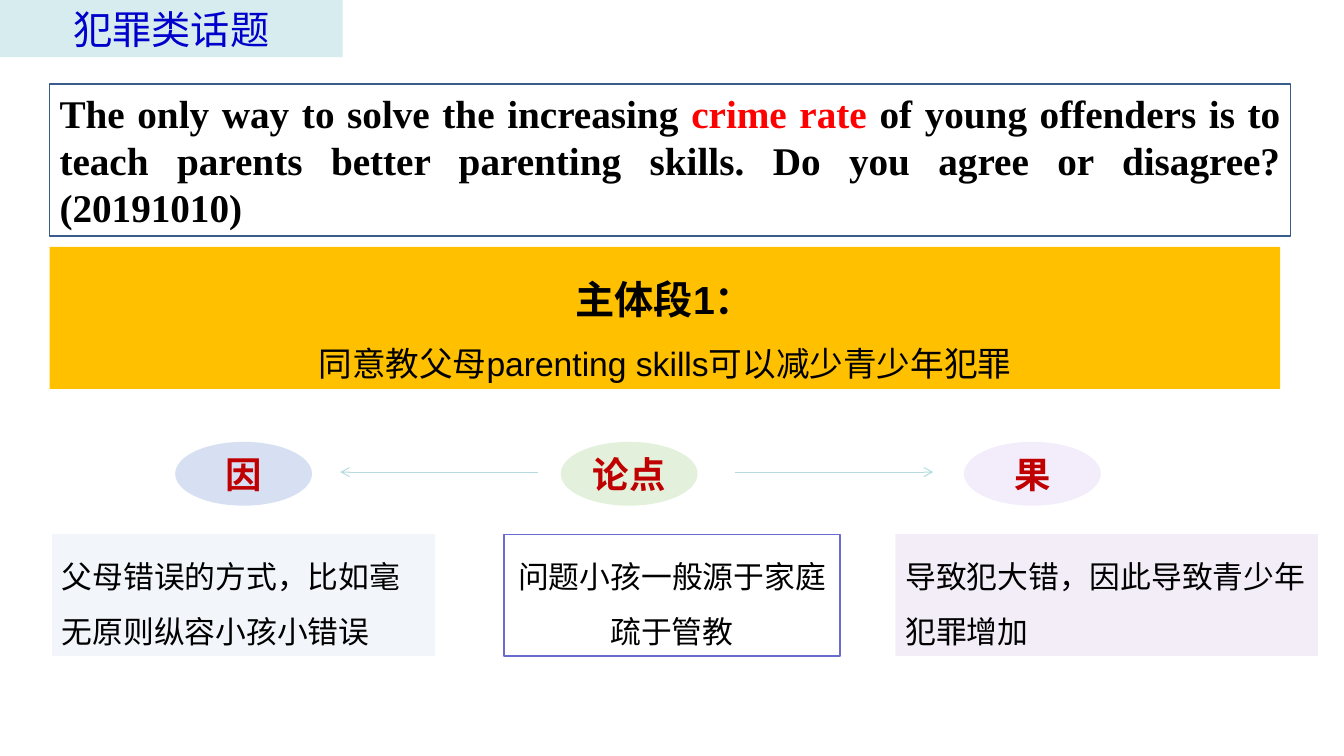
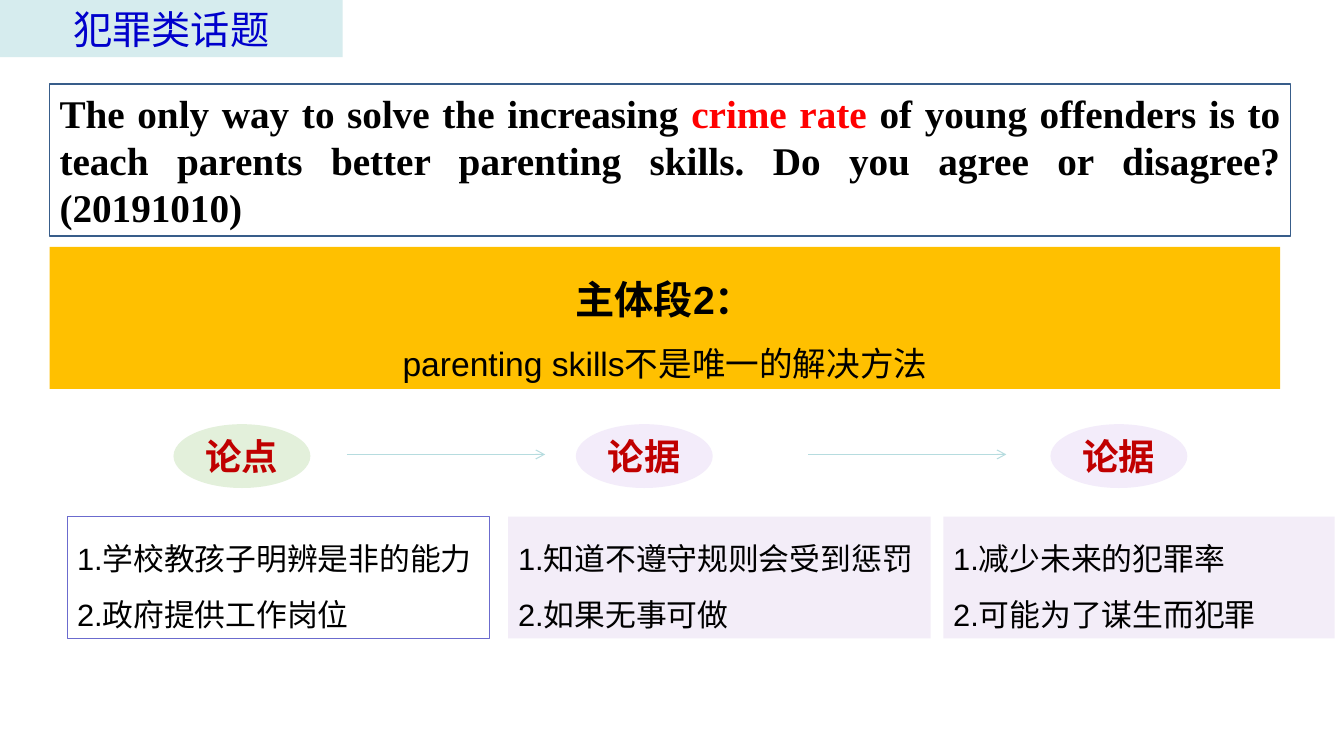
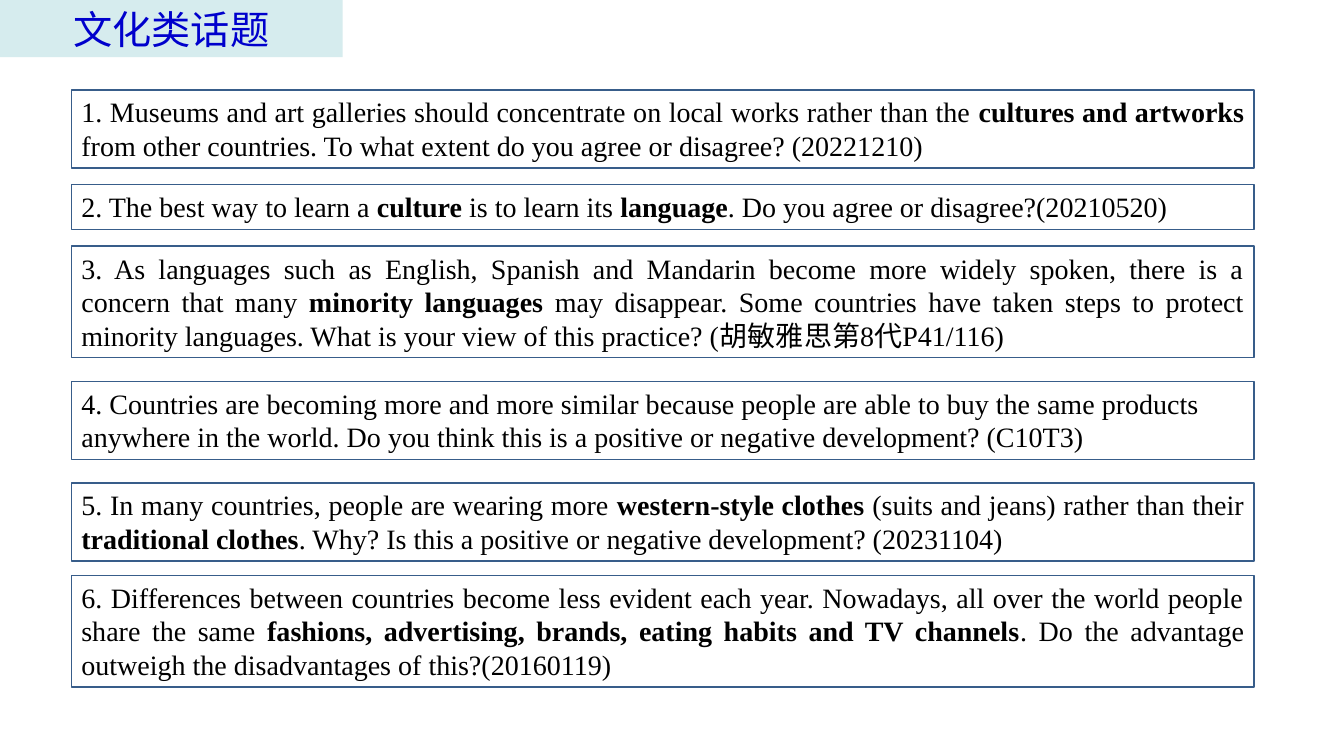
import dataclasses

import lxml.etree
import pptx
import pptx.dml.color
import pptx.enum.shapes
import pptx.enum.text
import pptx.oxml.ns
import pptx.util

ALIGN = pptx.enum.text.PP_ALIGN
ANCHOR = pptx.enum.text.MSO_ANCHOR
SHAPE = pptx.enum.shapes.MSO_SHAPE
qn = pptx.oxml.ns.qn


@dataclasses.dataclass(frozen=True)
class Theme:
    # Fonts
    sans: str = "Arial"
    serif: str = "Times New Roman"
    cjk: str = "Noto Sans CJK SC"
    # Type sizes
    head: int = 28
    label: int = 26
    claim: int = 24
    note: int = 22
    topic: int = 20
    # Colours
    ink: str = "000000"
    red: str = "FF0000"
    label_ink: str = "C00000"
    title_ink: str = "0000CC"
    title_fill: str = "D6ECEE"
    band: str = "FFC000"
    frame: str = "385D8A"
    point_frame: str = "6B6BCE"
    arrow: str = "B6DCDF"
    # Fill and opacity (percent) of each role's label and note
    labels = {"point": ("C5E0B4", 48), "cause": ("B4C7E7", 54), "effect": ("D3BAEE", 27)}
    notes = {"point": (None, 100), "cause": ("DAE3F3", 35), "effect": ("D3BAE4", 25)}


def rgb(value):
    return pptx.dml.color.RGBColor.from_string(value)


def write(tf, lines, size, font, color=Theme.ink, bold=False, align=ALIGN.LEFT,
          anchor=ANCHOR.TOP, spacing=1.0, accent=None, sizes=None, bolds=None):
    """Fill a text frame; *starred* words are bold and take the accent colour."""
    tf.word_wrap = True
    tf.auto_size = pptx.enum.text.MSO_AUTO_SIZE.NONE
    tf.vertical_anchor = anchor
    for i, line in enumerate(lines):
        p = tf.paragraphs[0] if i == 0 else tf.add_paragraph()
        p.alignment = align
        p.line_spacing = spacing
        for j, part in enumerate(line.split("*")):
            if not part:
                continue
            starred = j % 2 == 1
            r = p.add_run()
            r.text = part
            r.font.size = pptx.util.Pt(sizes[i] if sizes else size)
            r.font.bold = starred or (bolds[i] if bolds else bold)
            r.font.color.rgb = rgb(accent if starred and accent else color)
            r.font.name = font
            ea = lxml.etree.SubElement(r.font._element, qn("a:ea"))
            ea.set("typeface", Theme.cjk)


class Deck:
    """Slides laid out on a grid of 16 columns by 9 rows."""

    def __init__(self, theme):
        self.t = theme
        self.prs = pptx.Presentation()
        self.prs.slide_width = pptx.util.Inches(13.33)
        self.prs.slide_height = pptx.util.Inches(7.5)
        self.s = None

    def cols(self, n):
        return round(self.prs.slide_width * n / 16)

    def rows(self, n):
        return round(self.prs.slide_height * n / 9)

    def place(self, x, y, w, h):
        return self.cols(x), self.rows(y), self.cols(w), self.rows(h)

    def slide(self, title):
        """Start a slide with its title tab."""
        self.s = self.prs.slides.add_slide(self.prs.slide_layouts[5])
        sp = self.s.shapes.title
        sp.left, sp.top, sp.width, sp.height = self.place(0, 0, 4.08, 0.68)
        sp.fill.solid()
        sp.fill.fore_color.rgb = rgb(self.t.title_fill)
        write(sp.text_frame, [title], self.t.head, self.t.cjk,
              color=self.t.title_ink, align=ALIGN.CENTER)

    def shape(self, x, y, w, h, kind=SHAPE.RECTANGLE, fill=None, opacity=100,
              line=None, weight=1):
        sp = self.s.shapes.add_shape(kind, *self.place(x, y, w, h))
        sp.shadow.inherit = False
        if fill:
            sp.fill.solid()
            sp.fill.fore_color.rgb = rgb(fill)
            if opacity < 100:
                clr = sp.element.spPr.find(qn("a:solidFill")).find(qn("a:srgbClr"))
                lxml.etree.SubElement(clr, qn("a:alpha")).set("val", str(opacity * 1000))
        else:
            sp.fill.background()
        if line:
            sp.line.color.rgb = rgb(line)
            sp.line.width = pptx.util.Pt(weight)
        else:
            sp.line.fill.background()
        return sp

    def framed(self, x, y, w, h, lines, size, **fmt):
        """Outlined exam question."""
        sp = self.shape(x, y, w, h, line=self.t.frame)
        write(sp.text_frame, lines, size, self.t.serif, align=ALIGN.JUSTIFY, **fmt)

    def band(self, heading, claim):
        """Yellow band naming the body paragraph and its claim."""
        sp = self.shape(0.59, 2.94, 14.65, 1.69, fill=self.t.band)
        write(sp.text_frame, [heading, claim], self.t.head, self.t.sans,
              align=ALIGN.CENTER, spacing=1.5,
              sizes=(self.t.head, self.t.claim), bolds=(True, False))

    def label(self, center, y, role, text):
        w, h = 1.63, 0.76
        fill, opacity = self.t.labels[role]
        sp = self.shape(center - w / 2, y, w, h, SHAPE.OVAL, fill, opacity)
        write(sp.text_frame, [text], self.t.label, self.t.cjk, color=self.t.label_ink,
              bold=True, align=ALIGN.CENTER, anchor=ANCHOR.MIDDLE)

    def note(self, x, y, w, role, lines, align):
        fill, opacity = self.t.notes[role]
        line = self.t.point_frame if role == "point" else None
        sp = self.shape(x, y, w, 1.45, fill=fill, opacity=opacity, line=line, weight=0.75)
        write(sp.text_frame, lines, self.t.note, self.t.sans, align=align, spacing=1.5)

    def arrow(self, x1, x2, y):
        c = self.s.shapes.add_connector(
            pptx.enum.shapes.MSO_CONNECTOR.STRAIGHT,
            self.cols(x1), self.rows(y), self.cols(x2), self.rows(y))
        c.line.color.rgb = rgb(self.t.arrow)
        c.line.width = pptx.util.Pt(0.75)
        ln = c.element.spPr.find(qn("a:ln"))
        lxml.etree.SubElement(ln, qn("a:tailEnd")).set("type", "arrow")
        lxml.etree.SubElement(c.element.spPr, qn("a:effectLst"))

    def argument(self, heading, claim, top, steps, arrows):
        """Crime question, claim band, then labels with notes joined by arrows."""
        self.slide("犯罪类话题")
        self.framed(0.59, 1, 14.77, 1.81, [CRIME], self.t.head, bold=True, accent=self.t.red)
        self.band(heading, claim)
        for center, role, name, x, w, lines, align in steps:
            self.label(center, top, role, name)
            self.note(x, top + 1.1, w, role, lines, align)
        for start, end in arrows:
            self.arrow(start, end, top + 0.36)

    def topics(self, title, items):
        """Stack of questions; each gives its line count and the gap above it."""
        self.slide(title)
        y = 1.07
        for count, gap, lines in items:
            y += gap
            h = 0.13 + 0.4 * count
            self.framed(0.85, y, 14.08, h, lines, self.t.topic)
            y += h


CRIME = ("The only way to solve the increasing *crime rate* of young offenders is to teach "
         "parents better parenting skills. Do you agree or disagree? (20191010)")

# Label centre, role, label, note left, note width, note lines, note alignment
CAUSE_AND_EFFECT = [
    (2.9, "cause", "因", 0.62, 4.56, ["父母错误的方式，比如毫无原则纵容小孩小错误"], ALIGN.LEFT),
    (7.49, "point", "论点", 6, 4, ["问题小孩一般源于家庭疏于管教"], ALIGN.CENTER),
    (12.29, "effect", "果", 10.66, 5.03, ["导致犯大错，因此导致青少年犯罪增加"], ALIGN.LEFT),
]
OTHER_SOLUTIONS = [
    (2.88, "point", "论点", 0.8, 5.03,
     ["1.学校教孩子明辨是非的能力", "2.政府提供工作岗位"], ALIGN.LEFT),
    (7.67, "effect", "论据", 6.05, 5.03,
     ["1.知道不遵守规则会受到惩罚", "2.如果无事可做"], ALIGN.LEFT),
    (13.32, "effect", "论据", 11.23, 4.66,
     ["1.减少未来的犯罪率", "2.可能为了谋生而犯罪"], ALIGN.LEFT),
]

# Line count, gap above, paragraphs
CULTURE = [
    (2, 0, ["1. Museums and art galleries should concentrate on local works rather than the "
            "*cultures and artworks* from other countries. To what extent do you agree or "
            "disagree? (20221210)"]),
    (1, 0.2, ["2. The best way to learn a *culture* is to learn its* language*. "
              "Do you agree or disagree?(20210520)"]),
    (3, 0.2, ["3. As languages such as English, Spanish and Mandarin become more widely spoken, "
              "there is a concern that many* minority languages* may disappear. Some countries "
              "have taken steps to protect minority languages. What is your view of this "
              "practice? (胡敏雅思第8代P41/116)"]),
    (2, 0.28, ["4. Countries are becoming more and more similar because people are able to buy "
               "the same products",
               "anywhere in the world. Do you think this is a positive or negative "
               "development? (C10T3)"]),
    (2, 0.28, ["5. In many countries, people are wearing more* western-style clothes *(suits and "
               "jeans) rather than their *traditional clothes*. Why? Is this a positive or "
               "negative development? (20231104)"]),
    (3, 0.17, ["6. Differences between countries become less evident each year. Nowadays, all "
               "over the world people share the same* fashions, advertising, brands, eating "
               "habits and TV channels*. Do the advantage outweigh the disadvantages of "
               "this?(20160119)"]),
]


def main():
    deck = Deck(Theme())
    deck.argument("主体段1：", "同意教父母parenting skills可以减少青少年犯罪", 5.26,
                  CAUSE_AND_EFFECT, [(8.75, 11.11), (6.41, 4.05)])
    deck.argument("主体段2：", "parenting skills不是唯一的解决方法", 5.05,
                  OTHER_SOLUTIONS, [(4.13, 6.49), (9.62, 11.98)])
    deck.topics("文化类话题", CULTURE)
    deck.prs.save("out.pptx")


if __name__ == "__main__":
    main()
